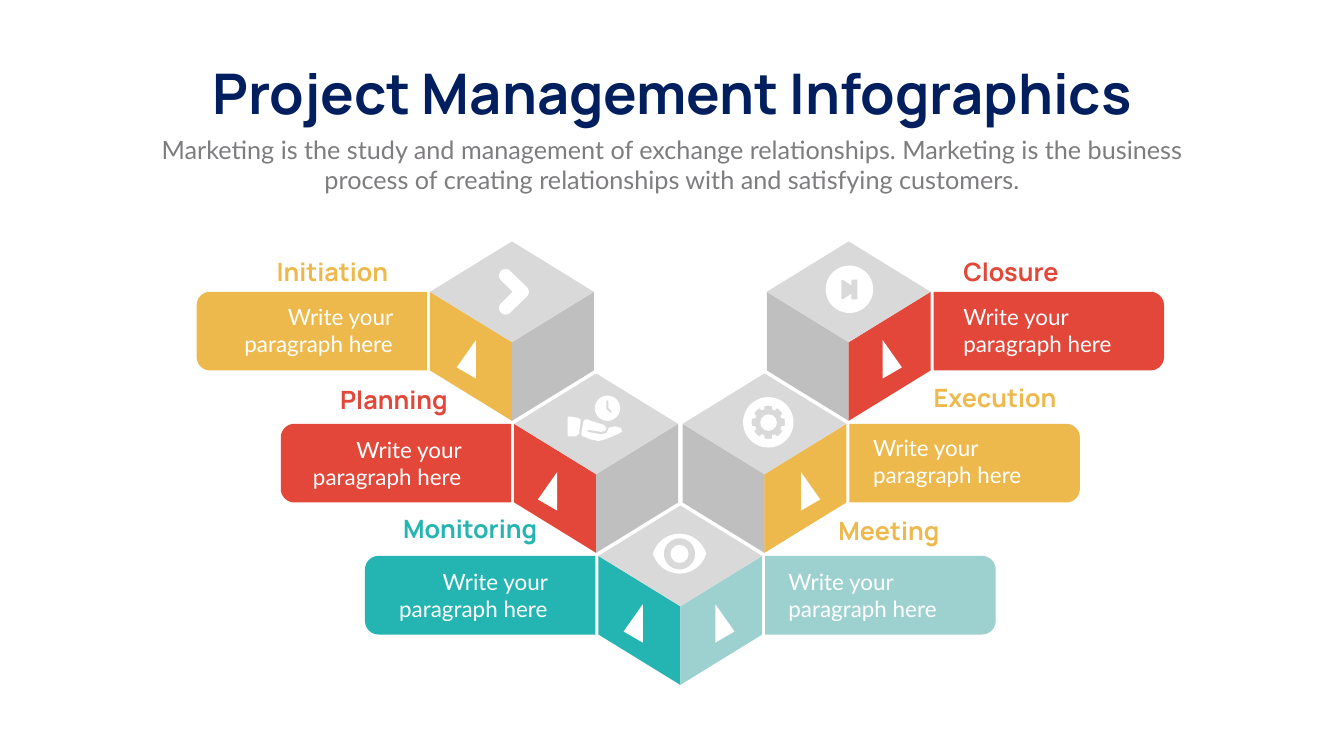
from dataclasses import dataclass
from math import cos, radians, sin

from pptx import Presentation
from pptx.dml.color import RGBColor
from pptx.enum.shapes import MSO_SHAPE as Preset
from pptx.enum.text import MSO_ANCHOR as Anchor, MSO_AUTO_SIZE as AutoSize, PP_ALIGN as Align
from pptx.util import Emu, Pt

PX = 9144  # EMU in one px, 100 px to the inch


@dataclass(frozen=True)
class Theme:
    heading_font: str = "Manrope"
    body_font: str = "Lato"
    title_size: int = 80
    label_size: int = 36
    subtitle_size: int = 36
    body_size: int = 32
    navy: str = "011F5E"
    grey: str = "7E7C7F"
    white: str = "FFFFFF"
    cube_top: str = "D9D9D9"
    cube_side: str = "BFBFBF"
    yellow: str = "EEB94C"
    red: str = "E34739"
    teal: str = "24B5B2"
    mint: str = "9CD1D0"


THEME = Theme()
LEFT, RIGHT = -1, 1
CUBE_WIDTH, CUBE_TOP, CUBE_SIDE = 325, 200, 156
CARD_WIDTH, CARD_GAP, CARD_RADIUS = 457, 6, 27
ARROW_WIDTH, ARROW_HEIGHT = 38, 76


# Drawing helpers
def arc(center_x, center_y, radius, start=0, end=360, step=5):
    count = max(1, round(abs(end - start) / step))
    angles = [radians(start + (end - start) * i / count) for i in range(count + 1)]
    return [(center_x + radius * cos(a), center_y + radius * sin(a)) for a in angles]


def paint(shape, colour):
    shape.fill.solid()
    shape.fill.fore_color.rgb = RGBColor.from_string(colour)
    shape.line.fill.background()
    shape.shadow.inherit = False


def outline(slide, origin, colour, *contours):
    """Draw closed contours, relative to origin, as one shape; inner ones are holes."""
    left, top = origin
    placed = [[((left + x) * PX, (top + y) * PX) for x, y in contour] for contour in contours]
    builder = slide.shapes.build_freeform(*placed[0][0], scale=1.0)
    for number, contour in enumerate(placed):
        if number:
            builder.move_to(*contour[0])
        builder.add_line_segments(contour[1:], close=True)
    paint(builder.convert_to_shape(), colour)


def dot(slide, center_x, center_y, diameter, colour):
    left, top = center_x - diameter // 2, center_y - diameter // 2
    shape = slide.shapes.add_shape(Preset.OVAL, *[Emu(v * PX) for v in (left, top, diameter, diameter)])
    paint(shape, colour)


def write(shape, box, text, font, size, colour, align, bold=False, wrap=True):
    shape.left, shape.top, shape.width, shape.height = [Emu(v * PX) for v in box]
    frame = shape.text_frame
    frame.text = text
    frame.word_wrap = wrap
    frame.auto_size = AutoSize.SHAPE_TO_FIT_TEXT
    frame.vertical_anchor = Anchor.TOP
    paragraph = frame.paragraphs[0]
    paragraph.alignment = align
    paragraph.space_before = Pt(0)
    run_font = paragraph.runs[0].font
    run_font.name, run_font.size, run_font.bold = font, Pt(size), bold
    run_font.color.rgb = RGBColor.from_string(colour)


def add_text(slide, box, *style, **options):
    write(slide.shapes.add_textbox(0, 0, 0, 0), box, *style, **options)


# Regions
def add_heading(slide, title_box, subtitle_box):
    write(slide.shapes.title, title_box, "Project Management Infographics", THEME.heading_font,
          THEME.title_size, THEME.navy, Align.CENTER, bold=True, wrap=False)
    write(slide.placeholders[1], subtitle_box,
          "Marketing is the study and management of exchange relationships. Marketing is the "
          "business process of creating relationships with and satisfying customers.",
          THEME.body_font, THEME.subtitle_size, THEME.grey, Align.CENTER)


def add_cube(slide, origin, left_colour, right_colour):
    middle, half = CUBE_WIDTH / 2, CUBE_TOP / 2
    for edge, colour in ((0, left_colour), (CUBE_WIDTH, right_colour)):
        outline(slide, origin, colour, [(edge, half), (edge, half + CUBE_SIDE),
                                        (middle, CUBE_TOP + CUBE_SIDE), (middle, CUBE_TOP)])
    outline(slide, origin, THEME.cube_top,
            [(middle, CUBE_TOP), (0, half), (middle, 0), (CUBE_WIDTH, half)])


def add_card(slide, cube_origin, side, colour, inset):
    """Add the card beside a cube, and the arrow on the cube's coloured face."""
    cube_left, cube_top = cube_origin
    edge = cube_left + (CUBE_WIDTH if side == RIGHT else 0)
    far, radius = CARD_WIDTH, CARD_RADIUS
    points = ([(0, 0)] + arc(far - radius, radius, radius, -90, 0)
              + arc(far - radius, CUBE_SIDE - radius, radius, 0, 90) + [(0, CUBE_SIDE)])
    outline(slide, (edge + side * CARD_GAP, cube_top + CUBE_TOP // 2), colour,
            [(side * x, y) for x, y in points])
    arrow = [(0, ARROW_HEIGHT), (ARROW_WIDTH, 54), (0, 0)]
    outline(slide, (edge - side * (inset + ARROW_WIDTH), cube_top + 196), THEME.white,
            [(side * x, y) for x, y in arrow])


def add_caption(slide, label, label_box, body_origin, side, colour):
    add_text(slide, (*body_origin, 381, 118), "Write your paragraph here", THEME.body_font,
             THEME.body_size, THEME.white, Align.RIGHT if side == LEFT else Align.LEFT)
    add_text(slide, label_box, label, THEME.heading_font, THEME.label_size, colour,
             Align.CENTER if side == LEFT else Align.LEFT, bold=True)


# Icons on the cube tops
def add_chevron_icon(slide, origin):
    outline(slide, origin, THEME.white,
            arc(13, 13, 13, 135, 315) + arc(46, 45, 13, -45, 45)
            + arc(13, 77, 13, 45, 225) + [(27, 45)])


def add_hand_icon(slide, origin):
    left, top = origin
    outline(slide, (left + 54, top), THEME.white, arc(25, 25, 25),
            [(23, 11), (25, 9), (27, 11), (27, 24), (34, 31), (32, 34), (30, 33), (23, 27)])
    outline(slide, origin, THEME.white,
            [(0, 43), (3, 41), (21, 44), (26, 48), (23, 75), (16, 81), (2, 81), (0, 79)])
    outline(slide, origin, THEME.white, [
        (95, 61), (83, 63), (81, 65), (77, 74), (66, 77), (41, 72), (39, 69), (42, 68), (66, 72),
        (74, 70), (77, 64), (72, 58), (59, 54), (49, 51), (38, 47), (33, 48), (31, 53), (27, 77),
        (29, 80), (46, 87), (61, 90), (74, 87), (100, 76), (107, 72), (108, 70), (105, 64)])


def add_eye_icon(slide, origin):
    left, top = origin
    outline(slide, origin, THEME.white,
            arc(53, 55, 55, -163, -17) + arc(53, 24, 55, 17, 163), arc(53, 40, 31))
    dot(slide, left + 53, top + 40, 36, THEME.white)


def add_gear_icon(slide, origin):
    left, top = origin
    gear = []
    for tooth in range(0, 360, 45):
        gear += (arc(50, 50, 27, tooth - 20, tooth - 17) + arc(50, 50, 33, tooth - 13, tooth + 13)
                 + arc(50, 50, 27, tooth + 17, tooth + 20))
    outline(slide, origin, THEME.white, arc(50, 50, 50), gear)
    dot(slide, left + 50, top + 50, 33, THEME.white)


def add_skip_icon(slide, origin):
    outline(slide, origin, THEME.white, arc(47, 47, 47),
            [(31, 29), (34, 28), (51, 39), (51, 28), (63, 28), (63, 67),
             (51, 67), (51, 56), (34, 67), (31, 66)])


def cube_origin(tier, side):
    return 1187 + side * (2 - tier) * 167, 479 + tier * 262


def main():
    presentation = Presentation()
    presentation.slide_width, presentation.slide_height = Emu(2666 * PX), Emu(1500 * PX)
    slide = presentation.slides.add_slide(presentation.slide_layouts[0])
    add_heading(slide, (336, 112, 1995, 145), (292, 261, 2082, 131))

    # Cubes: two steps down each side, meeting in the middle
    for tier, left_colour, right_colour in ((0, THEME.yellow, THEME.red),
                                            (1, THEME.red, THEME.yellow)):
        add_cube(slide, cube_origin(tier, LEFT), left_colour, THEME.cube_side)
        add_cube(slide, cube_origin(tier, RIGHT), THEME.cube_side, right_colour)
    add_cube(slide, cube_origin(2, LEFT), THEME.teal, THEME.mint)

    # Phases: tier, side, card colour, arrow inset, label, label colour, label box, body origin
    phases = [
        (0, LEFT, THEME.yellow, 53, "Initiation", THEME.yellow, (526, 504, 267, 71), (408, 597)),
        (1, LEFT, THEME.red, 47, "Planning", THEME.red, (648, 757, 267, 71), (544, 861)),
        (2, LEFT, THEME.teal, 50, "Monitoring", THEME.teal, (779, 1014, 307, 71), (715, 1122)),
        (0, RIGHT, THEME.red, 57, "Closure", THEME.red, (1901, 504, 267, 71), (1901, 597)),
        (1, RIGHT, THEME.yellow, 52, "Execution", THEME.yellow, (1842, 754, 299, 71), (1722, 857)),
        (2, RIGHT, THEME.mint, 55, "Meeting", THEME.yellow, (1653, 1018, 267, 71), (1554, 1122)),
    ]
    for tier, side, colour, inset, label, label_colour, label_box, body_origin in phases:
        add_card(slide, cube_origin(tier, side), side, colour, inset)
        add_caption(slide, label, label_box, body_origin, side, label_colour)

    add_chevron_icon(slide, (990, 534))
    add_hand_icon(slide, (1126, 785))
    add_eye_icon(slide, (1295, 1059))
    add_gear_icon(slide, (1474, 788))
    add_skip_icon(slide, (1638, 527))
    presentation.save("out.pptx")


if __name__ == "__main__":
    main()
